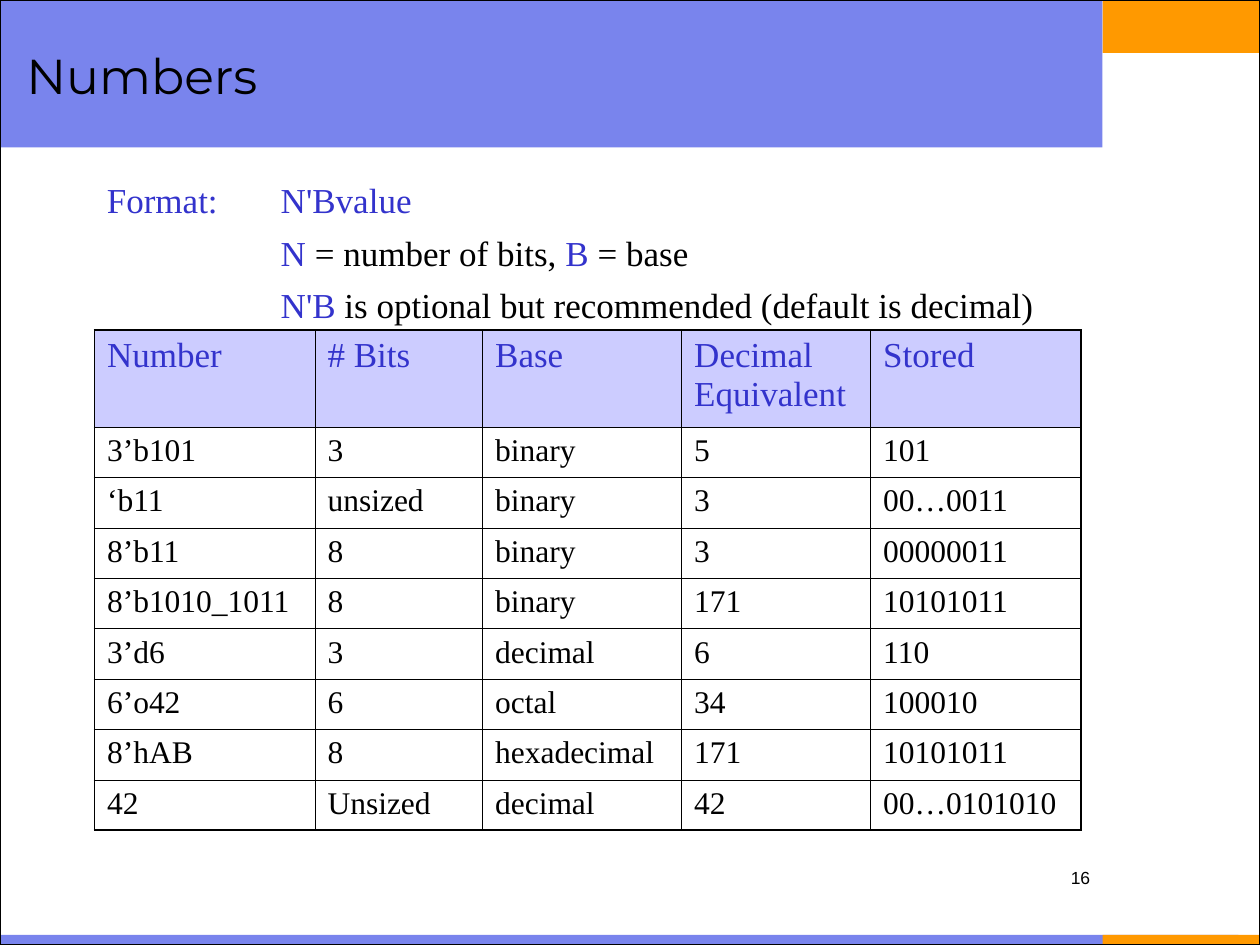
from dataclasses import dataclass

from lxml.etree import SubElement
from pptx import Presentation
from pptx.dml.color import RGBColor
from pptx.enum.shapes import MSO_SHAPE
from pptx.enum.text import MSO_ANCHOR, PP_ALIGN
from pptx.oxml.ns import qn
from pptx.util import Inches, Pt


@dataclass(frozen=True)
class Theme:
    black: str = "000000"
    band: str = "7984ED"
    orange: str = "FF9900"
    accent: str = "3333CC"
    header: str = "CCCCFF"
    title_font: str = "Montserrat"
    body_font: str = "Times New Roman"
    number_font: str = "Arial"
    title_size: float = 28
    body_size: float = 20
    cell_size: float = 18
    number_size: float = 10
    outer_line: float = 1.08
    inner_line: float = 0.45


T = Theme()


def add_text(p, text, *, size=T.body_size, font=T.body_font, color=T.black):
    r = p.add_run()
    r.text = text
    r.font.size = Pt(size)
    r.font.name = font
    r.font.color.rgb = RGBColor.from_string(color)


def set_border(cell, side, width):
    """Draw one cell side (L, R, T or B); call before the cell gets its fill."""
    ln = SubElement(cell._tc.get_or_add_tcPr(), qn(f"a:ln{side}"), w=str(Pt(width)))
    fill = SubElement(ln, qn("a:solidFill"))
    SubElement(fill, qn("a:srgbClr"), val=T.black)


prs = Presentation()
prs.slide_width, prs.slide_height = Inches(10), Inches(7.5)
s = prs.slides.add_slide(prs.slide_layouts[5])

# Background bands and slide frame
for x, y, w, h, color in [
    (8.75, 0, 1.25, 0.42, T.orange),
    (0, 7.42, 9.83, 0.08, T.band),
    (8.75, 7.42, 1.25, 0.08, T.orange),
    (0, 0, 8.75, 1.17, T.band),
    (0, 0, 10, 7.5, None),
]:
    sp = s.shapes.add_shape(MSO_SHAPE.RECTANGLE, Inches(x), Inches(y), Inches(w), Inches(h))
    sp.shadow.inherit = False
    if color:
        sp.fill.solid()
        sp.fill.fore_color.rgb = RGBColor.from_string(color)
        sp.line.fill.background()
    else:
        sp.fill.background()
        sp.line.color.rgb = RGBColor.from_string(T.black)
        sp.line.width = Pt(0.75)

# Title, brought in front of the bands
title = s.shapes.title
title.element.getparent().append(title.element)
title.left, title.top = Inches(0.11), Inches(0.11)
title.width, title.height = Inches(8.5), Inches(0.97)
tf = title.text_frame
tf.vertical_anchor = MSO_ANCHOR.MIDDLE
p = tf.paragraphs[0]
p.alignment = PP_ALIGN.LEFT
add_text(p, "Numbers", size=T.title_size, font=T.title_font)

# Number examples
rows = [
    ("Number", "# Bits", "Base", "Decimal Equivalent", "Stored"),
    ("3’b101", "3", "binary", "5", "101"),
    ("‘b11", "unsized", "binary", "3", "00…0011"),
    ("8’b11", "8", "binary", "3", "00000011"),
    ("8’b1010_1011", "8", "binary", "171", "10101011"),
    ("3’d6", "3", "decimal", "6", "110"),
    ("6’o42", "6", "octal", "34", "100010"),
    ("8’hAB", "8", "hexadecimal", "171", "10101011"),
    ("42", "Unsized", "decimal", "42", "00…0101010"),
]
col_widths = [1.75, 1.33, 1.58, 1.5, 1.67]
header_height, row_height = 0.77, 0.4
last_row, last_col = len(rows) - 1, len(col_widths) - 1
table = s.shapes.add_table(
    len(rows), len(col_widths), Inches(0.75), Inches(2.62),
    Inches(sum(col_widths)), Inches(header_height + last_row * row_height),
).table
table.first_row = table.horz_banding = False
for col, width in zip(table.columns, col_widths):
    col.width = Inches(width)
for i, values in enumerate(rows):
    table.rows[i].height = Inches(row_height if i else header_height)
    for j, value in enumerate(values):
        cell = table.cell(i, j)
        edges = {"L": j == 0, "R": j == last_col, "T": i == 0, "B": i == last_row}
        for side, outer in edges.items():
            set_border(cell, side, T.outer_line if outer else T.inner_line)
        p = cell.text_frame.paragraphs[0]
        if i == 0:
            cell.fill.solid()
            cell.fill.fore_color.rgb = RGBColor.from_string(T.header)
            add_text(p, value, color=T.accent)
        else:
            cell.fill.background()
            add_text(p, value, size=T.cell_size)

# Format description: the label hangs left of the indented lines
format_lines = [
    [("Format:\tN'Bvalue", T.accent)],
    [("N", T.accent), (" = number of bits, ", T.black), ("B", T.accent), (" = base", T.black)],
    [("N'B", T.accent), (" is optional but recommended (default is decimal)", T.black)],
]
indent = Inches(1.38)
tf = s.shapes.add_textbox(Inches(0.75), Inches(1.37), Inches(8.5), Inches(5.38)).text_frame
tf.word_wrap = True
for i, line in enumerate(format_lines):
    p = tf.add_paragraph() if i else tf.paragraphs[0]
    pPr = p._p.get_or_add_pPr()
    pPr.set("marL", str(indent))
    pPr.set("indent", str(0 if i else -indent))
    if i:
        p.space_before = Pt(5.8)
    for text, color in line:
        add_text(p, text, color=color)

# Slide number
tf = s.shapes.add_textbox(Inches(6.67), Inches(6.83), Inches(2.08), Inches(0.5)).text_frame
tf.word_wrap = True
p = tf.paragraphs[0]
p.alignment = PP_ALIGN.RIGHT
add_text(p, "16", size=T.number_size, font=T.number_font)

prs.save("out.pptx")
